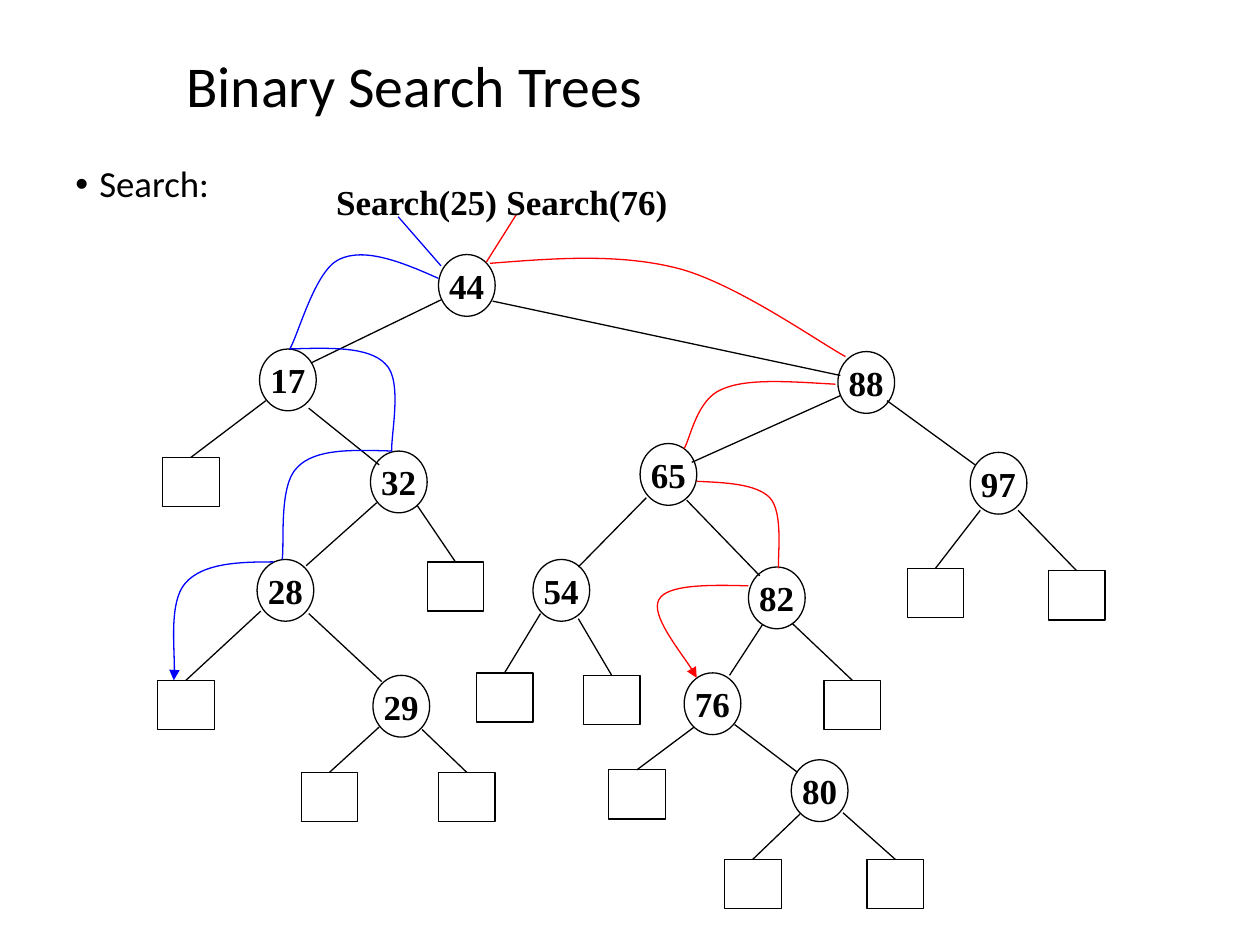
from lxml.etree import SubElement
from pptx import Presentation
from pptx.dml.color import RGBColor
from pptx.enum.shapes import MSO_CONNECTOR, MSO_SHAPE
from pptx.enum.text import MSO_ANCHOR, PP_ALIGN
from pptx.oxml.ns import qn
from pptx.util import Inches, Pt


def color(value):
    return RGBColor.from_string(value)


def write_text(shape, text, font_values, frame_values, paragraph_values):
    frame = shape.text_frame
    paragraph = frame.paragraphs[0]
    paragraph.text = text
    font = paragraph.runs[0].font
    for target, values in ((frame, frame_values), (paragraph, paragraph_values), (font, font_values)):
        for name, value in values.items():
            setattr(target, name, value)
    font.color.rgb = color(BLACK)
    return paragraph


BLACK, BLUE, RED = "000000", "0000FF", "FF0000"
NODE_WIDTH, NODE_HEIGHT, LEAF_HEIGHT = 0.45, 0.49, 0.39
TREE_FONT = {"name": "Times New Roman", "size": Pt(20), "bold": True}
TITLE_FONT = {"name": "Calibri", "size": Pt(33)}
BODY_FONT = {"name": "Calibri", "size": Pt(21)}

presentation = Presentation()
presentation.slide_width = Inches(10)
presentation.slide_height = Inches(7.5)
slide = presentation.slides.add_slide(presentation.slide_layouts[6])
shapes = slide.shapes
outlined = []

nodes = {
    "44": (3.48, 2.02), "32": (2.94, 3.58), "65": (5.08, 3.52), "88": (6.65, 2.79),
    "28": (2.04, 4.44), "17": (2.06, 2.77), "80": (6.28, 6.03), "76": (5.43, 5.34),
    "97": (7.7, 3.59), "82": (5.94, 4.5), "54": (4.23, 4.44), "29": (2.96, 5.36),
}
for key, (left, top) in nodes.items():
    node = shapes.add_shape(MSO_SHAPE.OVAL, Inches(left), Inches(top), Inches(NODE_WIDTH), Inches(NODE_HEIGHT))
    node.fill.background()
    write_text(node, key, TREE_FONT, {"word_wrap": False, "vertical_anchor": MSO_ANCHOR.MIDDLE},
               {"alignment": PP_ALIGN.CENTER})
    outlined.append((node, BLACK))

lines = [
    (3.5, 2.38, 2.47, 2.88, BLACK), (3.91, 2.39, 6.67, 2.98, BLACK),
    (2.45, 3.24, 3.01, 3.69, BLACK), (2.99, 3.99, 2.43, 4.49, BLACK),
    (2.45, 4.87, 3.03, 5.41, BLACK), (6.67, 3.14, 5.49, 3.67, BLACK),
    (7.04, 3.18, 7.74, 3.69, BLACK), (5.45, 3.97, 6.03, 4.57, BLACK),
    (5.13, 3.95, 4.59, 4.5, BLACK), (6.05, 4.96, 5.79, 5.36, BLACK),
    (5.83, 5.75, 6.33, 6.13, BLACK),
    (3.16, 1.72, 3.5, 2.11, BLUE), (4.1, 1.7, 3.86, 2.08, RED),
]
for *ends, line_color in lines:
    line = shapes.add_connector(MSO_CONNECTOR.STRAIGHT, *map(Inches, ends))
    outlined.append((line, line_color))

leaves = [
    (7.2, 4.51, 7.78, 4.05), (4.83, 6.11, 5.51, 5.77), (6.54, 5.4, 6.29, 4.95),
    (8.32, 4.53, 8.08, 4.05), (1.25, 5.4, 2.07, 4.85), (1.29, 3.63, 2.11, 3.18),
    (2.39, 6.13, 3.01, 5.77), (3.48, 6.13, 3.35, 5.79), (3.39, 4.46, 3.31, 4.01),
    (3.78, 5.34, 4.29, 4.87), (4.63, 5.36, 4.59, 4.91), (5.75, 6.82, 6.35, 6.46),
    (6.88, 6.82, 6.69, 6.45),
]
for left, top, start_x, start_y in leaves:
    leaf = shapes.add_shape(MSO_SHAPE.RECTANGLE, Inches(left), Inches(top), Inches(NODE_WIDTH), Inches(LEAF_HEIGHT))
    leaf.fill.background()
    edge = shapes.add_connector(MSO_CONNECTOR.STRAIGHT, Inches(start_x), Inches(start_y), Inches(left), Inches(top))
    edge.end_connect(leaf, 0)
    outlined += [(leaf, BLACK), (edge, BLACK)]

curves = [
    (BLUE, False, [(3.48, 2.21), (3.19, 2.08), (2.89, 1.96), (2.69, 2.06), (2.5, 2.15), (2.37, 2.65), (2.3, 2.77)]),
    (BLUE, False, [(2.3, 2.77), (2.62, 2.76), (2.93, 2.75), (3.06, 2.89), (3.2, 3.02), (3.1, 3.46), (3.11, 3.58)]),
    (BLUE, False, [(3.11, 3.58), (2.8, 3.57), (2.5, 3.56), (2.36, 3.71), (2.21, 3.85), (2.26, 4.32), (2.24, 4.44)]),
    (BLUE, True, [(2.17, 4.46), (1.89, 4.46), (1.61, 4.47), (1.47, 4.63), (1.34, 4.78), (1.4, 5.27), (1.38, 5.4)]),
    (RED, False, [(3.89, 2.09), (4.4, 2.05), (4.91, 2.01), (5.38, 2.13), (5.84, 2.25), (6.49, 2.71), (6.71, 2.83)]),
    (RED, False, [(6.63, 3.05), (6.28, 3.03), (5.93, 3), (5.73, 3.09), (5.53, 3.17), (5.48, 3.48), (5.43, 3.56)]),
    (RED, False, [(5.53, 3.82), (5.76, 3.83), (6, 3.84), (6.11, 3.95), (6.22, 4.07), (6.17, 4.42), (6.18, 4.51)]),
    (RED, True, [(5.94, 4.65), (5.62, 4.64), (5.29, 4.64), (5.23, 4.76), (5.16, 4.88), (5.48, 5.27), (5.53, 5.38)]),
]
arrows = []
for curve_color, has_arrow, points in curves:
    start, *controls = [(Inches(x), Inches(y)) for x, y in points]
    builder = shapes.build_freeform(*start)
    builder.add_line_segments(controls, close=False)
    curve = builder.convert_to_shape()
    outline = next(curve._element.iter(qn("a:path")))
    segments = outline.findall(qn("a:lnTo"))
    for first in (0, 3):
        bezier = SubElement(outline, qn("a:cubicBezTo"))
        for segment in segments[first:first + 3]:
            bezier.append(segment[0])
            outline.remove(segment)
    curve.fill.background()
    outlined.append((curve, curve_color))
    if has_arrow:
        arrows.append(curve)

for shape, line_color in outlined:
    shape.line.color.rgb = color(line_color)
    shape.line.width = Pt(0.75)
    SubElement(shape._element.spPr, qn("a:effectLst"))
for curve in arrows:
    SubElement(curve.line._get_or_add_ln(), qn("a:tailEnd"), type="triangle")

for left, label in ((2.57, "Search(25)"), (3.92, "Search(76)")):
    box = shapes.add_textbox(Inches(left), Inches(1.38), Inches(1.48), Inches(0.44))
    write_text(box, label, TREE_FONT, {"word_wrap": False}, {})

title = shapes.add_textbox(Inches(1.38), Inches(0.08), Inches(7.19), Inches(1.25))
write_text(title, "Binary Search Trees", TITLE_FONT,
           {"word_wrap": True, "vertical_anchor": MSO_ANCHOR.MIDDLE}, {"line_spacing": 0.9})

body = shapes.add_textbox(Inches(0.5), Inches(1.27), Inches(9), Inches(4.92))
paragraph = write_text(body, "Search:", BODY_FONT, {"word_wrap": True}, {"line_spacing": 0.9})
properties = paragraph._p.get_or_add_pPr()
properties.set("marL", str(Inches(0.19)))
properties.set("indent", str(Inches(-0.19)))
SubElement(properties, qn("a:buFont"), typeface="Arial")
SubElement(properties, qn("a:buChar"), char="•")

presentation.save("out.pptx")
